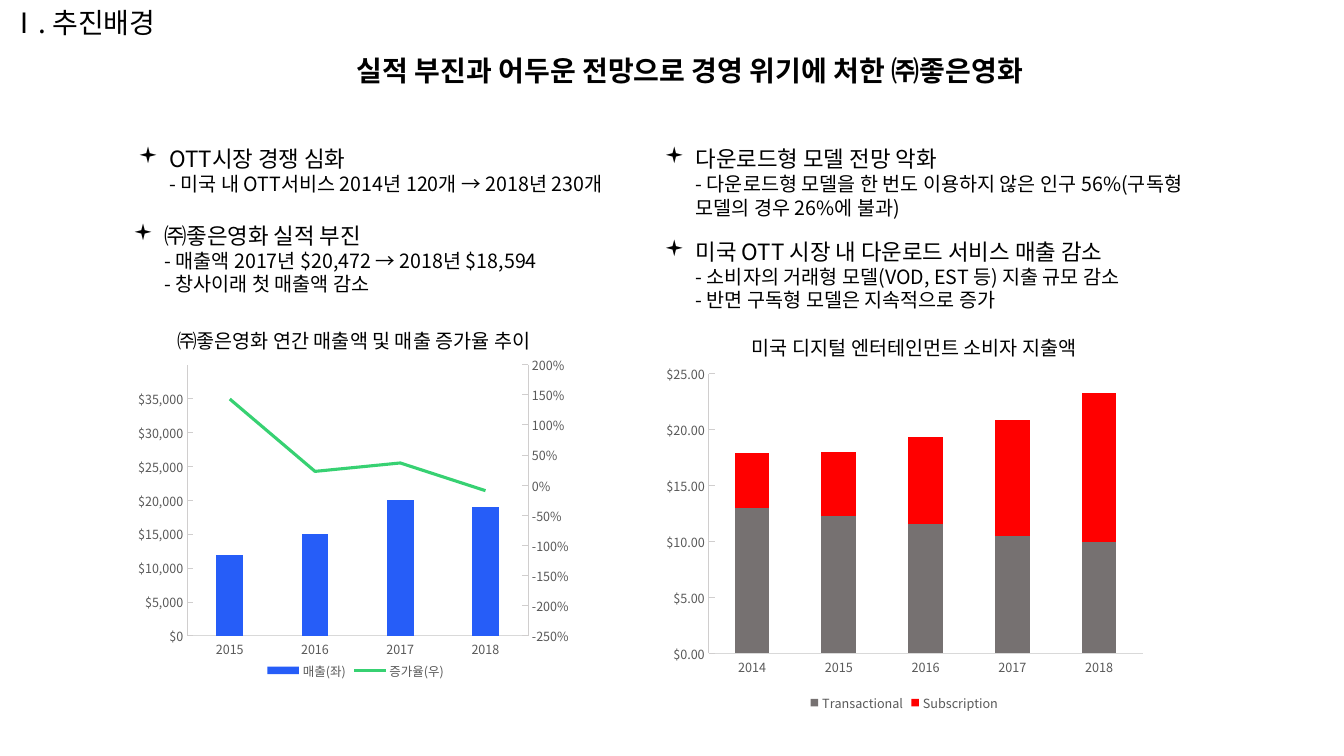
"""Build the background slide: four findings and two sales charts."""
from dataclasses import dataclass

from lxml import etree
from pptx import Presentation
from pptx.chart.data import CategoryChartData
from pptx.dml.color import RGBColor
from pptx.enum import chart as ch, text
from pptx.oxml import ns, parse_xml
from pptx.util import Inches, Pt


@dataclass(frozen=True)
class Theme:
    font: str = "Noto Sans CJK KR"
    bullet: str = "Wingdings"
    ink: str = "000000"
    label: str = "595959"
    cat_line: str = "D9D9D9"
    val_line: str = "D0CECE"
    sales: str = "265DF8"
    growth: str = "37D172"
    transactional: str = "767171"
    subscription: str = "FF0000"
    title: int = 20
    heading: int = 16
    detail: int = 14
    chart: int = 10
    axis: int = 9


T = Theme()
TITLE = ("Ⅰ. 추진배경", (0, 0, 13.27, 0.49))
CAPTIONS = [
    ("실적 부진과 어두운 전망으로 경영 위기에 처한 ㈜좋은영화", (0.21, 0.47, 13.27, 0.49), T.title, True),
    ("㈜좋은영화 연간 매출액 및 매출 증가율 추이", (-0.07, 3.15, 7.16, 0.49), T.detail, False),
    ("미국 디지털 엔터테인먼트 소비자 지출액", (5.49, 3.22, 7.16, 0.49), T.detail, False),
]
FINDINGS = [
    ((1.27, 1.39, 5.22, 0.61),
     ["OTT시장 경쟁 심화", "- 미국 내 OTT서비스 2014년 120개 → 2018년 230개"]),
    ((1.22, 2.15, 5.62, 0.84),
     ["㈜좋은영화 실적 부진", "- 매출액 2017년 $20,472 → 2018년 $18,594", "- 창사이래 첫 매출액 감소"]),
    ((6.49, 1.39, 5.62, 0.84),
     ["다운로드형 모델 전망 악화",
      "- 다운로드형 모델을 한 번도 이용하지 않은 인구 56%(구독형 모델의 경우 26%에 불과)"]),
    ((6.49, 2.31, 5.62, 0.84),
     ["미국 OTT 시장 내 다운로드 서비스 매출 감소",
      "- 소비자의 거래형 모델(VOD, EST 등) 지출 규모 감소", "- 반면 구독형 모델은 지속적으로 증가"]),
]
COMPANY = {
    "box": (1.37, 3.53, 4.28, 3.25), "kind": ch.XL_CHART_TYPE.COLUMN_CLUSTERED,
    "cats": ["2015", "2016", "2017", "2018"],
    "series": [("매출(좌)", [12000, 15000, 20000, 19000], T.sales),
               ("증가율(우)", [1.43, 0.23, 0.37, -0.09], T.growth)],
    "gap": 219, "overlap": -27, "min": 0.01, "max": 40000, "unit": 5000, "format": '"$"#,##0',
}
MARKET = {
    "box": (6.51, 3.55, 4.92, 3.55), "kind": ch.XL_CHART_TYPE.COLUMN_STACKED,
    "cats": ["2014", "2015", "2016", "2017", "2018"],
    "series": [("Transactional", [13, 12.3, 11.6, 10.5, 10], T.transactional),
               ("Subscription", [4.9, 5.7, 7.8, 10.4, 13.3], T.subscription)],
    "gap": 150, "overlap": 100, "min": 0.001, "max": None, "unit": 5, "format": '"$"#,##0.00',
}
PLOT_AREA = {"x": 0.106, "y": 0.024, "w": 0.797, "h": 0.831}


def inches(box):
    return [Inches(v) for v in box]


def set_font(font, size, color, bold=False):
    font.name, font.size, font.bold = T.font, Pt(size), bold
    font.color.rgb = RGBColor.from_string(color)
    font._element.set("kern", "0")


def format_run(r, size, bold=False):
    set_font(r.font, size, T.ink, bold)
    ea = etree.SubElement(r.font._element, ns.qn("a:ea"))
    ea.set("typeface", T.font)


def place(sp, box):
    sp.left, sp.top, sp.width, sp.height = inches(box)


def write_line(sp, words, size, align, bold=False):
    tf = sp.text_frame
    tf.text, tf.word_wrap = words, True
    tf.vertical_anchor = text.MSO_ANCHOR.MIDDLE
    p = tf.paragraphs[0]
    p.alignment, p.line_spacing = align, 0.9
    format_run(p.runs[0], size, bold)


def write_finding(sp, lines):
    tf = sp.text_frame
    tf.word_wrap, tf.vertical_anchor = True, text.MSO_ANCHOR.TOP
    tf.auto_size = text.MSO_AUTO_SIZE.SHAPE_TO_FIT_TEXT
    p = tf.paragraphs[0]
    p.text = "\v".join(lines)
    p.alignment, p.line_spacing = text.PP_ALIGN.LEFT, 1.0
    p.space_before = p.space_after = Pt(0)
    for i, r in enumerate(p.runs):
        format_run(r, T.detail if i else T.heading)
    for i, br in enumerate(p._p.findall(ns.qn("a:br"))):
        etree.SubElement(br, ns.qn("a:rPr")).set("sz", str(100 * (T.detail if i else T.heading)))
    pPr = p._p.get_or_add_pPr()
    pPr.set("marL", str(Inches(0.31)))
    pPr.set("indent", str(Inches(-0.31)))
    etree.SubElement(pPr, ns.qn("a:buFont")).set("typeface", T.bullet)
    etree.SubElement(pPr, ns.qn("a:buChar")).set("char", "▪")


def style_axis(axis, line, tick):
    axis.has_major_gridlines = False
    axis.major_tick_mark, axis.minor_tick_mark = tick, ch.XL_TICK_MARK.NONE
    axis.tick_label_position = ch.XL_TICK_LABEL_POSITION.NEXT_TO_AXIS
    set_font(axis.tick_labels.font, T.axis, T.label)
    axis.format.line.color.rgb = RGBColor.from_string(line)
    axis.format.line.width = Pt(0.75)


def add_columns(slide, spec):
    data = CategoryChartData()
    data.categories = spec["cats"]
    for name, values, _ in spec["series"]:
        data.add_series(name, values)
    chart = slide.shapes.add_chart(spec["kind"], *inches(spec["box"]), data).chart
    set_font(chart.font, T.chart, T.ink)
    chart.has_title = False
    chart.has_legend = True
    chart.legend.position = ch.XL_LEGEND_POSITION.BOTTOM
    chart.legend.include_in_layout = False
    set_font(chart.legend.font, T.axis, T.label)
    plot = chart.plots[0]
    plot.gap_width, plot.overlap, plot.vary_by_categories = spec["gap"], spec["overlap"], False
    for series, (_, _, color) in zip(plot.series, spec["series"]):
        series.format.fill.solid()
        series.format.fill.fore_color.rgb = RGBColor.from_string(color)
    style_axis(chart.category_axis, T.cat_line, ch.XL_TICK_MARK.NONE)
    axis = chart.value_axis
    style_axis(axis, T.val_line, ch.XL_TICK_MARK.INSIDE)
    axis.minimum_scale, axis.major_unit = spec["min"], spec["unit"]
    if spec["max"]:
        axis.maximum_scale = spec["max"]
    axis.tick_labels.number_format = spec["format"]
    axis.tick_labels.number_format_is_linked = False
    return chart


def move_growth_to_right_axis(chart):
    area = chart._chartSpace.find(".//" + ns.qn("c:plotArea"))
    bars = area.find(ns.qn("c:barChart"))
    growth = bars.findall(ns.qn("c:ser"))[1]
    for tag in ("c:invertIfNegative", "c:spPr"):
        for node in growth.findall(ns.qn(tag)):
            growth.remove(node)
    line = parse_xml(f'<c:lineChart {ns.nsdecls("c")}><c:grouping val="standard"/><c:varyColors val="0"/>'
                     '<c:marker val="1"/><c:axId val="501"/><c:axId val="502"/></c:lineChart>')
    line.insert(2, growth)
    bars.addnext(line)
    axes = parse_xml(f'''<c:plotArea {ns.nsdecls("c", "a")}>
      <c:valAx><c:axId val="502"/><c:scaling><c:orientation val="minMax"/><c:max val="2"/><c:min val="-2.5"/>
      </c:scaling><c:delete val="0"/><c:axPos val="r"/><c:numFmt formatCode="0%" sourceLinked="0"/>
      <c:majorTickMark val="in"/><c:minorTickMark val="none"/><c:tickLblPos val="nextTo"/>
      <c:spPr><a:ln w="9525"><a:solidFill><a:srgbClr val="{T.val_line}"/></a:solidFill></a:ln></c:spPr>
      <c:txPr><a:bodyPr/><a:p><a:pPr><a:defRPr sz="{T.axis * 100}" b="0" kern="0"><a:solidFill>
      <a:srgbClr val="{T.label}"/></a:solidFill><a:latin typeface="{T.font}"/></a:defRPr></a:pPr></a:p></c:txPr>
      <c:crossAx val="501"/><c:crosses val="max"/><c:majorUnit val="0.5"/></c:valAx>
      <c:catAx><c:axId val="501"/><c:scaling><c:orientation val="minMax"/></c:scaling><c:delete val="1"/>
      <c:axPos val="b"/><c:crossAx val="502"/></c:catAx></c:plotArea>''')
    last = area.findall(ns.qn("c:valAx"))[-1]
    for axis in reversed(list(axes)):
        last.addnext(axis)
    for layout in area.findall(ns.qn("c:layout")):
        area.remove(layout)
    modes = "".join(f'<c:{k}Mode val="edge"/>' for k in "xy")
    sizes = "".join(f'<c:{k} val="{v}"/>' for k, v in PLOT_AREA.items())
    area.insert(0, parse_xml(f'<c:layout {ns.nsdecls("c")}><c:manualLayout><c:layoutTarget val="inner"/>'
                             f'{modes}{sizes}</c:manualLayout></c:layout>'))
    series = chart.plots[1].series[0]
    series.smooth = False
    series.marker.style = ch.XL_MARKER_STYLE.NONE
    series.format.line.color.rgb = RGBColor.from_string(T.growth)
    series.format.line.width = Pt(2.25)


def main():
    prs = Presentation()
    prs.slide_width, prs.slide_height = Inches(13.33), Inches(7.5)
    slide = prs.slides.add_slide(prs.slide_layouts.get_by_name("Comparison"))
    title, *bodies = slide.placeholders
    place(title, TITLE[1])
    write_line(title, TITLE[0], T.title, text.PP_ALIGN.LEFT)
    for words, box, size, bold in CAPTIONS:
        write_line(slide.shapes.add_textbox(*inches(box)), words, size, text.PP_ALIGN.CENTER, bold)
    move_growth_to_right_axis(add_columns(slide, COMPANY))
    add_columns(slide, MARKET)
    for sp, (box, lines) in zip(bodies, FINDINGS):
        place(sp, box)
        write_finding(sp, lines)
    prs.save("out.pptx")


if __name__ == "__main__":
    main()
